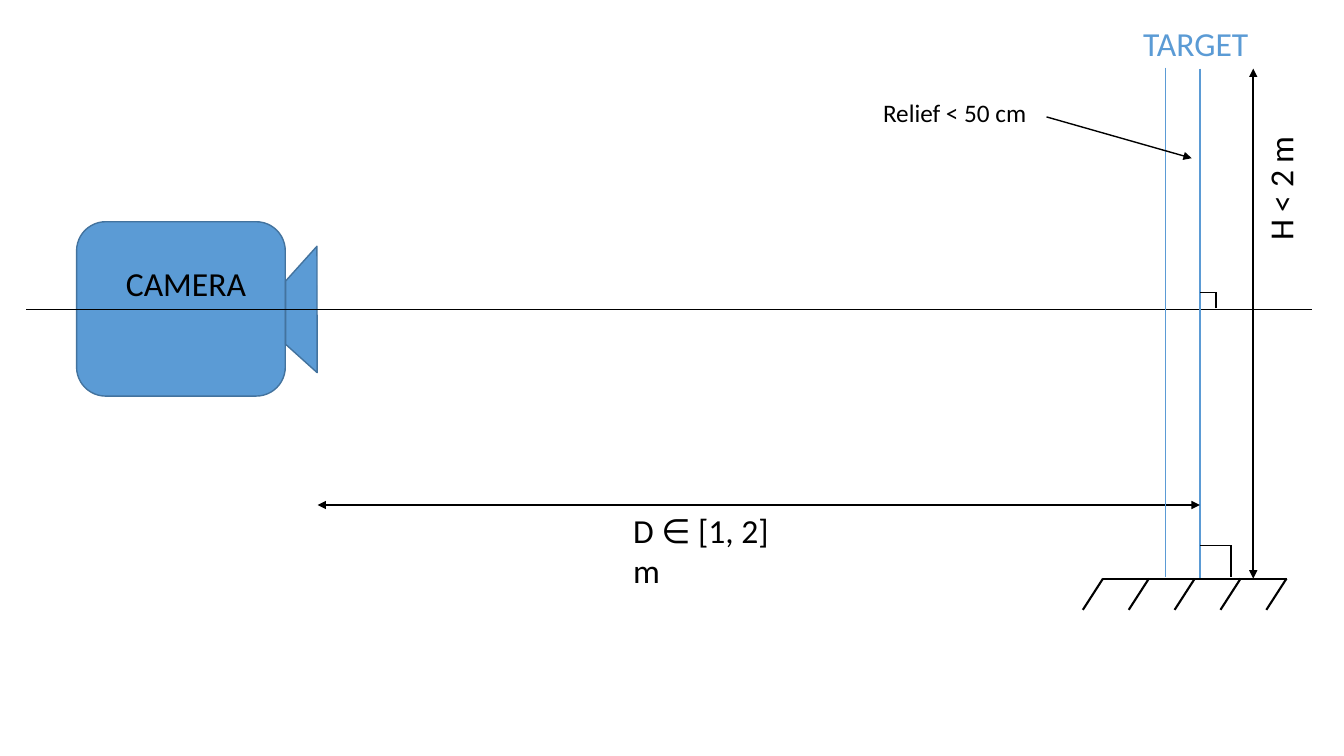
from lxml import etree
from pptx import Presentation
from pptx.dml.color import RGBColor
from pptx.enum.shapes import MSO_CONNECTOR, MSO_SHAPE
from pptx.enum.text import MSO_AUTO_SIZE
from pptx.oxml.ns import qn
from pptx.util import Inches, Pt

BLUE = RGBColor(0x5B, 0x9B, 0xD5)
DARK_BLUE = RGBColor(0x43, 0x73, 0x9E)
BLACK = RGBColor(0, 0, 0)
STRAIGHT = MSO_CONNECTOR.STRAIGHT
ROUNDED = MSO_SHAPE.ROUNDED_RECTANGLE
STRIPE = MSO_SHAPE.DIAGONAL_STRIPE
GROW = MSO_AUTO_SIZE.SHAPE_TO_FIT_TEXT


class Diagram:
    """Holds the style and the current slide."""
    font = "Calibri"

    def __init__(self, slide):
        self.shapes = slide.shapes

    def shape(self, kind, x, y, w, h, rotation=0):
        s = self.shapes.add_shape(kind, Inches(x), Inches(y), Inches(w), Inches(h))
        s.shadow.inherit = False
        s.rotation = rotation
        s.fill.solid()
        s.fill.fore_color.rgb = BLUE
        s.line.color.rgb = DARK_BLUE
        s.line.width = Pt(1)

    def text(self, text, x, y, w, h=0.5, size=24, color=BLACK, rotation=0):
        s = self.shapes.add_textbox(Inches(x), Inches(y), Inches(w), Inches(h))
        s.rotation = rotation
        tf = s.text_frame
        tf.word_wrap = True
        tf.auto_size = GROW
        r = tf.paragraphs[0].add_run()
        r.text = text
        r.font.name = self.font
        r.font.size = Pt(size)
        r.font.color.rgb = color

    def line(self, x1, y1, x2, y2, width=1.5, color=BLACK, arrows=()):
        s = self.shapes.add_connector(
            STRAIGHT, Inches(x1), Inches(y1), Inches(x2), Inches(y2))
        s.line.color.rgb = color
        s.line.width = Pt(width)
        ln = s.line._get_or_add_ln()
        for end in arrows:
            etree.SubElement(ln, qn("a:" + end), type="triangle")
        etree.SubElement(s._element.spPr, qn("a:effectLst"))

    def right_angle(self, x, y, side):
        """Square corner mark standing on y, to the right of x."""
        self.line(x, y - side, x + side, y - side, 1)
        self.line(x + side, y, x + side, y - side, 1)


prs = Presentation()
prs.slide_width, prs.slide_height = Inches(13.33), Inches(7.5)
d = Diagram(prs.slides.add_slide(prs.slide_layouts[6]))

BOTH_ENDS = ("headEnd", "tailEnd")
TARGET_X, TARGET_TOP = 11.9, 0.68
AXIS_Y, GROUND_Y = 3.07, 5.74

# Camera and optical axis
d.shape(ROUNDED, 0.76, 2.2, 2.07, 1.73)
d.shape(STRIPE, 2.68, 2.65, 0.93, 0.84, rotation=312)
d.text("CAMERA", 1.15, 2.56, 1.49)
d.line(0.26, AXIS_Y, 13.01, AXIS_Y, 0.5)

# Target
d.line(TARGET_X, TARGET_TOP, TARGET_X, GROUND_Y, color=BLUE)
d.text("TARGET", 11.24, 0.18, 1.32, color=BLUE)

# Ground with hatching
GROUND_LEFT, HATCH_STEP = 10.94, 0.455
d.line(GROUND_LEFT, GROUND_Y, GROUND_LEFT + 4 * HATCH_STEP, GROUND_Y)
for i in range(5):
    x = GROUND_LEFT + i * HATCH_STEP
    d.line(x, GROUND_Y, x - 0.2, GROUND_Y + 0.31)

# Distance and height dimensions
d.line(3.15, 5.01, TARGET_X, 5.01, arrows=BOTH_ENDS)
d.text("D ∈ [1, 2] m", 6.18, 5.01, 1.85)
d.line(12.43, TARGET_TOP, 12.43, GROUND_Y, arrows=BOTH_ENDS)
d.text("H < 2 m", 12.05, 1.59, 1.29, rotation=270)

# Relief limit
d.line(11.56, 0.67, 11.56, 5.72, 0.5, BLUE)
d.line(10.38, 1.16, 11.82, 1.57, 1, arrows=("tailEnd",))
d.text("Relief < 50 cm", 8.66, 0.92, 1.74, 0.4, size=18)

# Right angles at the axis and at the ground
d.right_angle(TARGET_X, 3.06, 0.16)
d.right_angle(TARGET_X, 5.72, 0.31)

prs.save("out.pptx")
